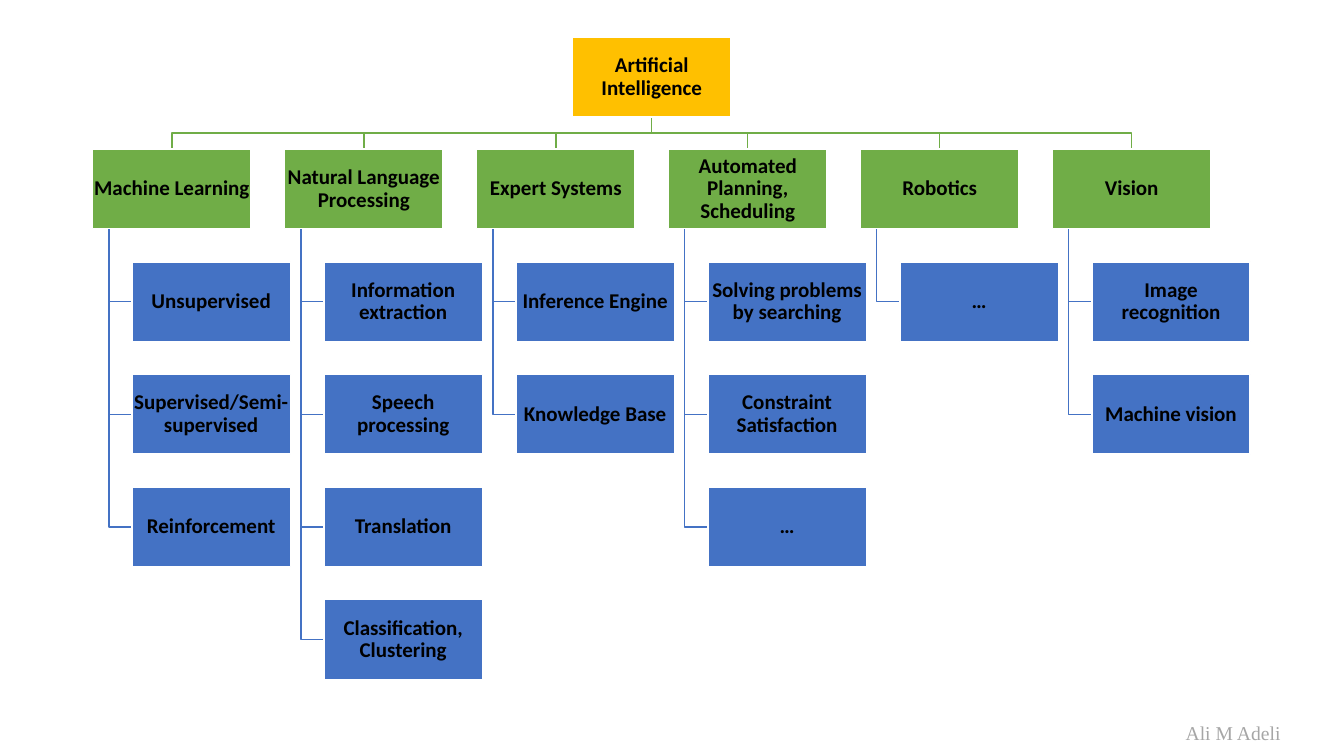
from pptx import Presentation
from pptx.dml.color import RGBColor
from pptx.enum.shapes import MSO_SHAPE
from pptx.enum.text import MSO_ANCHOR, PP_ALIGN
from pptx.util import Inches, Pt

RECT = MSO_SHAPE.RECTANGLE
MIDDLE = MSO_ANCHOR.MIDDLE
CENTER = PP_ALIGN.CENTER

GOLD = RGBColor(0xFF, 0xC0, 0x00)
GREEN = RGBColor(0x70, 0xAD, 0x47)
BLUE = RGBColor(0x44, 0x72, 0xC4)
WHITE = RGBColor(0xFF, 0xFF, 0xFF)
BLACK = RGBColor(0x00, 0x00, 0x00)
GRAY = RGBColor(0xA6, 0xA6, 0xA6)

WIDTH, HEIGHT = 1.57, 0.79
ROOT_X, ROOT_Y = 5.68, 0.37
LEFT, TOP = 0.92, 1.48
COL_STEP = (10.44 - LEFT) / 5
ROW_STEP = (5.95 - TOP) / 4
INDENT = 0.39
STEM = 0.16

FIELDS = [
    ("Machine Learning",
     ["Unsupervised", "Supervised/Semi-supervised", "Reinforcement"]),
    ("Natural Language Processing",
     ["Information extraction", "Speech processing", "Translation",
      "Classification, Clustering"]),
    ("Expert Systems", ["Inference Engine", "Knowledge Base"]),
    ("Automated Planning, Scheduling",
     ["Solving problems by searching", "Constraint Satisfaction", "…"]),
    ("Robotics", ["…"]),
    ("Vision", ["Image recognition", "Machine vision"]),
]


class Chart:
    def __init__(self, slide):
        self.shapes = slide.shapes

    def style(self, para, face, size, color, bold=False):
        font = para.runs[0].font
        font.name, font.size, font.bold = face, Pt(size), bold
        font.color.rgb = color

    def box(self, text, x, y, color):
        shape = self.shapes.add_shape(
            RECT, Inches(x), Inches(y), Inches(WIDTH), Inches(HEIGHT))
        shape.shadow.inherit = False
        shape.fill.solid()
        shape.fill.fore_color.rgb = color
        shape.line.color.rgb = WHITE
        shape.line.width = Pt(1)
        frame = shape.text_frame
        frame.word_wrap = True
        frame.vertical_anchor = MIDDLE
        frame.margin_left = frame.margin_right = Inches(0.01)
        frame.margin_top = frame.margin_bottom = Inches(0.01)
        frame.text = text
        para = frame.paragraphs[0]
        para.alignment = CENTER
        para.line_spacing = 0.9
        self.style(para, "Calibri", 15, BLACK, True)

    def branch(self, points, color):
        start, *rest = [(Inches(x), Inches(y)) for x, y in points]
        path = self.shapes.build_freeform(*start)
        path.add_line_segments(rest, close=False)
        shape = path.convert_to_shape()
        shape.shadow.inherit = False
        shape.fill.background()
        shape.line.color.rgb = color
        shape.line.width = Pt(1)

    def label(self, text, x, y, width, height):
        frame = self.shapes.add_textbox(
            Inches(x), Inches(y), Inches(width), Inches(height)).text_frame
        frame.word_wrap = True
        frame.text = text
        para = frame.paragraphs[0]
        para.alignment = PP_ALIGN.RIGHT
        self.style(para, "Times New Roman", 14, GRAY)


def main():
    deck = Presentation()
    deck.slide_width, deck.slide_height = Inches(13.33), Inches(7.5)
    chart = Chart(deck.slides.add_slide(deck.slide_layouts[6]))
    chart.label("Ali M Adeli", 11.43, 7.1, 1.37, 0.34)

    root_mid = ROOT_X + WIDTH / 2
    root_end = ROOT_Y + HEIGHT
    bar = root_end + STEM
    for col, (field, topics) in enumerate(FIELDS):
        x = LEFT + col * COL_STEP
        mid = x + WIDTH / 2
        trunk = x + STEM
        chart.branch([(root_mid, root_end), (root_mid, bar),
                      (mid, bar), (mid, TOP)], GREEN)
        rows = [TOP + row * ROW_STEP for row in range(1, len(topics) + 1)]
        for y in rows:
            turn = y + HEIGHT / 2
            chart.branch([(trunk, TOP + HEIGHT), (trunk, turn),
                          (x + INDENT, turn)], BLUE)
        chart.box(field, x, TOP, GREEN)
        for topic, y in zip(topics, rows):
            chart.box(topic, x + INDENT, y, BLUE)
    chart.box("Artificial Intelligence", ROOT_X, ROOT_Y, GOLD)
    deck.save("out.pptx")


if __name__ == "__main__":
    main()
